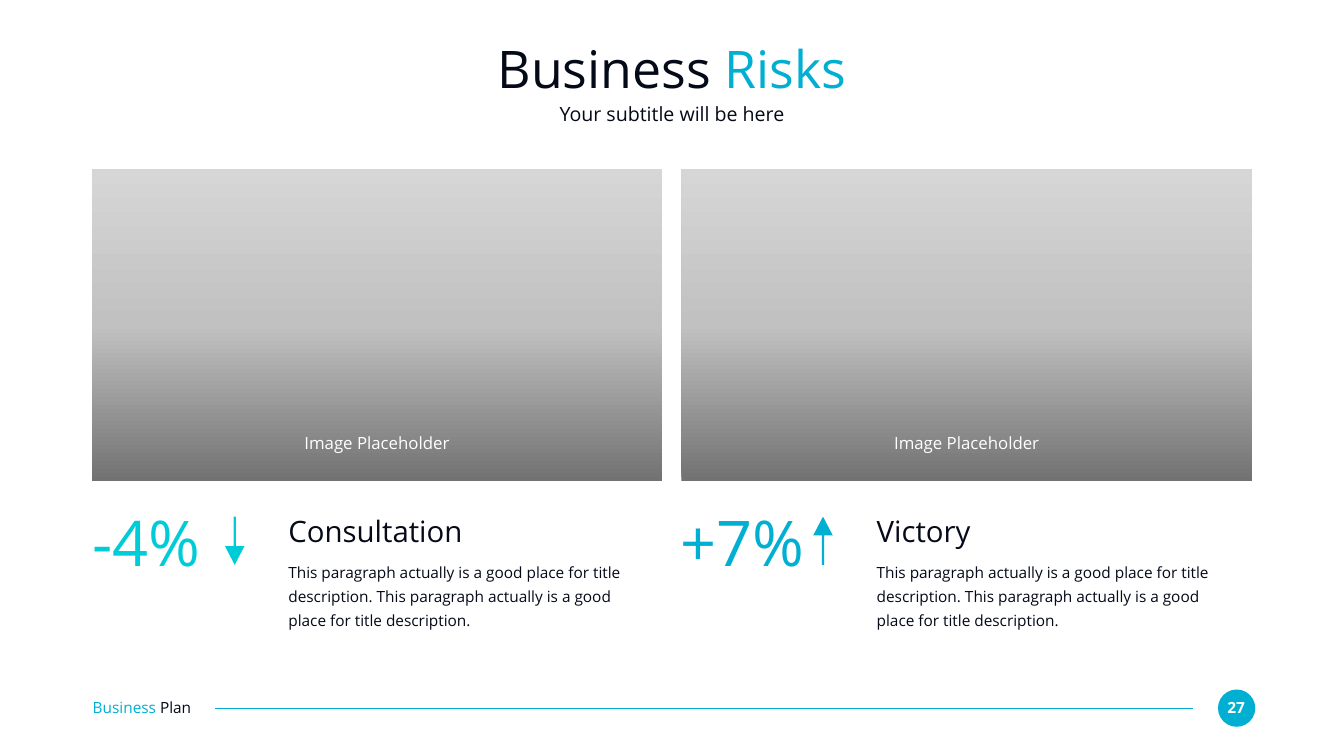
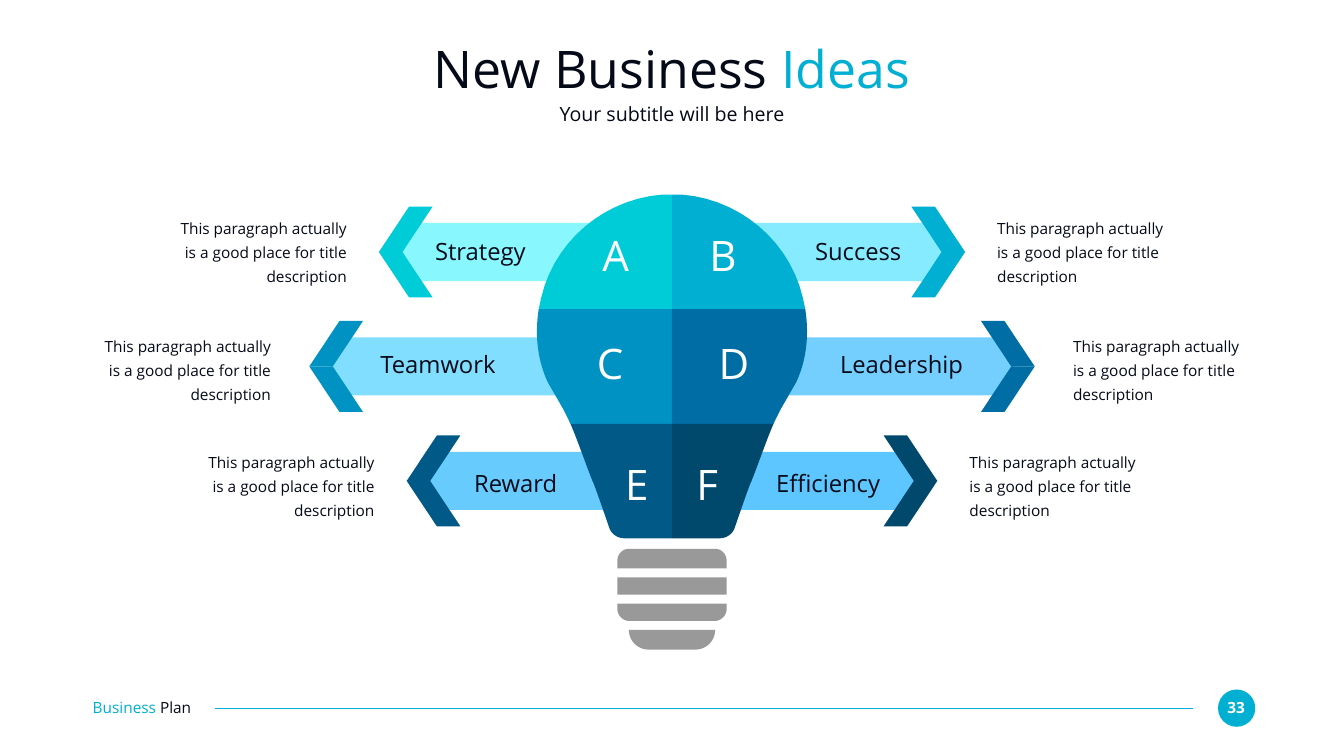
from copy import deepcopy

from lxml import etree
from pptx import Presentation
from pptx.dml.color import RGBColor
from pptx.enum import shapes, text
from pptx.oxml.ns import qn
from pptx.util import Pt

FONT = "Open Sans"
INK, ACCENT, WHITE, GREY = "050A19", "00AFD2", "FFFFFF", "999999"
AQUA = "00CCD7"
LEFT, CENTER, RIGHT = text.PP_ALIGN.LEFT, text.PP_ALIGN.CENTER, text.PP_ALIGN.RIGHT
PANEL_STOPS = [(0, "727272"), (0.5, "C1C1C1"), (1, "D6D6D6")]
SENTENCE = "This paragraph actually is a good place for title description"

# Right half of each bulb band, from the axis outwards and back, measured from
# the top of the bulb. Two numbers make a line, six make a cubic curve.
BULB_BANDS = [
    [(0, 0), (14, 0), (96.8, 6.5, 168, 66.2, 186.8, 147), (190.4, 163.5), (0, 163.5)],
    [(0, 163.5), (190.4, 163.5), (196.2, 201, 192, 237, 177.5, 268), (155.2, 306.7),
     (152.3, 312.5, 148.7, 319.7, 145, 327.5), (0, 327.5)],
    [(0, 327.5), (145, 327.5), (132, 358, 118.4, 399, 112, 412.6),
     (107, 425.5, 96.8, 455, 89.6, 476), (86.8, 484.6, 78, 491, 68, 491), (0, 491)],
]
# Right half of each part of the screw base, measured from its top.
SCREW_PARTS = [
    [(0, 0), (61.6, 0), (70.2, 0, 78, 7.2, 78, 16.6), (78, 28), (0, 28)],
    [(0, 41), (78, 41), (78, 65.5), (0, 65.5)],
    [(0, 78.5), (78, 78.5), (78, 86.4), (78, 95, 70.2, 103, 61.6, 103), (0, 103)],
    [(0, 116), (61.6, 116), (61.6, 132, 48.6, 144, 33.5, 144), (0, 144)],
]


def rgb(value):
    return RGBColor.from_string(value)


def write(tf, runs, size, color=INK, align=LEFT, bold=False, spacing=None):
    """Fill a frame with one paragraph; runs is a string or (text, colour) pairs."""
    tf.margin_left = tf.margin_right = tf.margin_top = tf.margin_bottom = 0
    tf.word_wrap = True
    tf.auto_size = text.MSO_AUTO_SIZE.NONE
    tf.vertical_anchor = text.MSO_ANCHOR.TOP
    p = tf.paragraphs[0]
    p.alignment = align
    if spacing:
        p.line_spacing = spacing
    for content, run_color in [(runs, color)] if isinstance(runs, str) else runs:
        r = p.add_run()
        r.text = content
        r.font.name, r.font.size, r.font.bold = FONT, Pt(size), bold
        r.font.color.rgb = rgb(run_color)


def add_text(s, x, y, w, h, runs, size, **fmt):
    write(s.shapes.add_textbox(Pt(x), Pt(y), Pt(w), Pt(h)).text_frame, runs, size, **fmt)


def paint(sp, color=None):
    """Remove shadow and outline, and fill with a colour if one is given."""
    sp.shadow.inherit = False
    sp.line.fill.background()
    if color:
        sp.fill.solid()
        sp.fill.fore_color.rgb = rgb(color)
    return sp


def add_preset(s, kind, x, y, w, h, color=None):
    return paint(s.shapes.add_shape(kind, Pt(x), Pt(y), Pt(w), Pt(h)), color)


def add_outline(s, contours, color):
    """Draw closed contours, each a list of points, as one shape."""
    builder = None
    for contour in contours:
        points = [(Pt(x), Pt(y)) for x, y in contour]
        if builder is None:
            builder = s.shapes.build_freeform(*points[0], scale=1.0)
        else:
            builder.move_to(*points[0])
        builder.add_line_segments(points[1:], close=True)
    return paint(builder.convert_to_shape(), color)


def trace(path, steps=14):
    """Turn a path of lines and cubic curves into points."""
    points = []
    for step in path:
        if len(step) == 2:
            points.append(step)
            continue
        nodes = [points[-1], step[:2], step[2:4], step[4:]]
        for i in range(1, steps + 1):
            t = i / steps
            weights = ((1 - t) ** 3, 3 * t * (1 - t) ** 2, 3 * t * t * (1 - t), t ** 3)
            points.append(tuple(sum(k * n[axis] for k, n in zip(weights, nodes))
                                for axis in (0, 1)))
    return points


def placed(points, x, y, side=1):
    """Move points to (x, y); side -1 mirrors them to the left."""
    return [(x + side * px, y + py) for px, py in points]


def add_footer(s, x, y, number):
    add_preset(s, shapes.MSO_SHAPE.OVAL, x + 1607.5, y - 26.6, 53.3, 53.3, ACCENT)
    add_text(s, x + 1612, y - 14.4, 42.5, 26.6, str(number), 22,
             color=WHITE, align=CENTER, bold=True)
    rule = s.shapes.add_connector(shapes.MSO_CONNECTOR.STRAIGHT,
                                  Pt(x + 1571.5), Pt(y), Pt(x + 175), Pt(y))
    rule.line.color.rgb = rgb(ACCENT)
    rule.line.width = Pt(1.5)
    etree.SubElement(rule._element.spPr, qn("a:effectLst"))
    add_text(s, x, y - 15, 186.5, 26.6, [("Business ", ACCENT), ("Plan", INK)], 22)


def new_slide(prs, plain, accented, number):
    """Add a slide with its title, subtitle and footer."""
    s = prs.slides.add_slide(prs.slide_layouts[5])
    add_footer(s, 132.5, 1011.6, number)
    title = s.shapes.title
    title.left, title.top, title.width, title.height = Pt(132), Pt(52.6), Pt(1656), Pt(91.4)
    write(title.text_frame, [(plain, INK), (accented, ACCENT)], 74, align=CENTER)
    add_text(s, 132, 146, 1656, 35.3, "Your subtitle will be here", 28, align=CENTER)
    return s


def add_image_panel(s, x, y, w=815, h=445):
    panel = add_preset(s, shapes.MSO_SHAPE.RECTANGLE, x, y, w, h)
    panel.fill.gradient()
    panel.fill.gradient_angle = 90
    stops = panel._element.spPr.find(".//" + qn("a:gsLst"))
    stops.insert(1, deepcopy(stops[0]))
    for stop, (position, color) in zip(panel.fill.gradient_stops, PANEL_STOPS):
        stop.position = position
        stop.color.rgb = rgb(color)
    add_text(s, x + 154, y + 376.6, w - 308, 28.8, "Image Placeholder", 24,
             color=WHITE, align=CENTER)


def add_risk(s, x, y, change, rotation, color, heading):
    """Place a percentage, its arrow and the explanation beside it."""
    add_text(s, x + 280, y + 15, 498, 51, heading, 42)
    add_text(s, x + 280, y + 78.5, 498, 101, f"{SENTENCE}. {SENTENCE}.", 22, spacing=1.3)
    add_text(s, x, y, 183.6, 108.7, change, 90, color=color)
    arrow = add_preset(s, shapes.MSO_SHAPE.DOWN_ARROW, x + 189.3, y + 19.4, 28, 69, color)
    arrow.adjustments[0], arrow.adjustments[1] = 0.11, 0.961
    arrow.rotation = rotation


def add_risks_slide(prs):
    s = new_slide(prs, "Business ", "Risks", 27)
    risks = [("-4%", 0, AQUA, "Consultation"), ("+7%", 180, ACCENT, "Victory")]
    for i, risk in enumerate(risks):
        add_risk(s, 132 + 840.4 * i, 718.6, *risk)
        add_image_panel(s, 131 + 842.4 * i, 242)


def add_bar(s, x, y, side, tip, inner, color):
    """Draw a label bar from inner to just behind the arrow tip."""
    end = tip - 29
    half = 41.5
    points = [(end - 25, half), (inner, half), (inner, -half), (end - 25, -half), (end, 0)]
    add_outline(s, [placed(points, x, y, side)], color)


def add_arrowhead(s, x, y, side, tip, color):
    for dy in (-65, 65):
        points = [(tip, 0), (tip - 33.6, 0), (tip - 76.8, dy), (tip - 43.2, dy)]
        add_outline(s, [placed(points, x, y, side)], color)


def add_bulb(s, x, y, band_colors):
    for band, colors in zip(BULB_BANDS, band_colors):
        for side, color in zip((-1, 1), colors):
            add_outline(s, [placed(trace(band), x, y, side)], color)
    contours = []
    for part in SCREW_PARTS:
        half = trace(part)
        contours.append(placed(half, x, y + 506)
                        + placed(half[-2:0:-1], x, y + 506, -1))
    add_outline(s, contours, GREY)


def add_ideas_slide(prs):
    s = new_slide(prs, "New Business ", "Ideas", 33)
    axis, top, pitch = 960, 278, 163.5
    # Per row: arrow tip, bar start and description edge as distances from the
    # axis, then the rise of description, label and letter above the row centre.
    rows = [(418.7, 46, 464.5, 55.4, 21.6, 32.4),
            (518.2, 46, 573, 49.8, 23.2, 41.9),
            (379, 6, 425, 47.6, 17.4, 32.5)]
    # Per idea: letter and its offset, label, its offset and width, two colours.
    ideas = [
        [("A", 80.5, "Strategy", 273.8, 193, AQUA, "89F8FE"),
         ("B", 72.8, "Success", 266, 193, ACCENT, "87EBFF")],
        [("C", 88.5, "Teamwork", 334.3, 266.4, "0092C3", "81DEFE"),
         ("D", 88.5, "Leadership", 328, 266.4, "006DA4", "74CFFF")],
        [("E", 50.4, "Reward", 223.4, 193, "005986", "68CBFE"),
         ("F", 50.4, "Efficiency", 223, 193, "00486C", "5EC6FF")],
    ]
    cells = [(row, side, idea, top + 82 + pitch * i)
             for i, (row, pair) in enumerate(zip(rows, ideas))
             for side, idea in zip((-1, 1), pair)]

    for (tip, inner, *_), side, idea, cy in cells:
        add_bar(s, axis, cy, side, tip, inner, idea[6])
        add_arrowhead(s, axis, cy, side, tip, idea[5])
    add_bulb(s, axis, top, [[idea[5] for idea in pair] for pair in ideas])
    for row, side, idea, cy in cells:
        edge, text_rise, label_rise, letter_rise = row[2:]
        letter, letter_dx, label, label_dx, label_w = idea[:5]
        x = axis + edge if side > 0 else axis - edge - 255
        add_text(s, x, cy - text_rise, 255, 102, SENTENCE, 22,
                 align=LEFT if side > 0 else RIGHT, spacing=1.3)
        add_text(s, axis + side * letter_dx - 38.5, cy - letter_rise, 77, 72.7, letter, 60,
                 color=WHITE, align=CENTER)
        add_text(s, axis + side * label_dx - label_w / 2, cy - label_rise, label_w, 41,
                 label, 34, align=CENTER)


def main():
    prs = Presentation()
    prs.slide_width, prs.slide_height = Pt(1920), Pt(1080)
    add_risks_slide(prs)
    add_ideas_slide(prs)
    prs.save("out.pptx")


if __name__ == "__main__":
    main()
